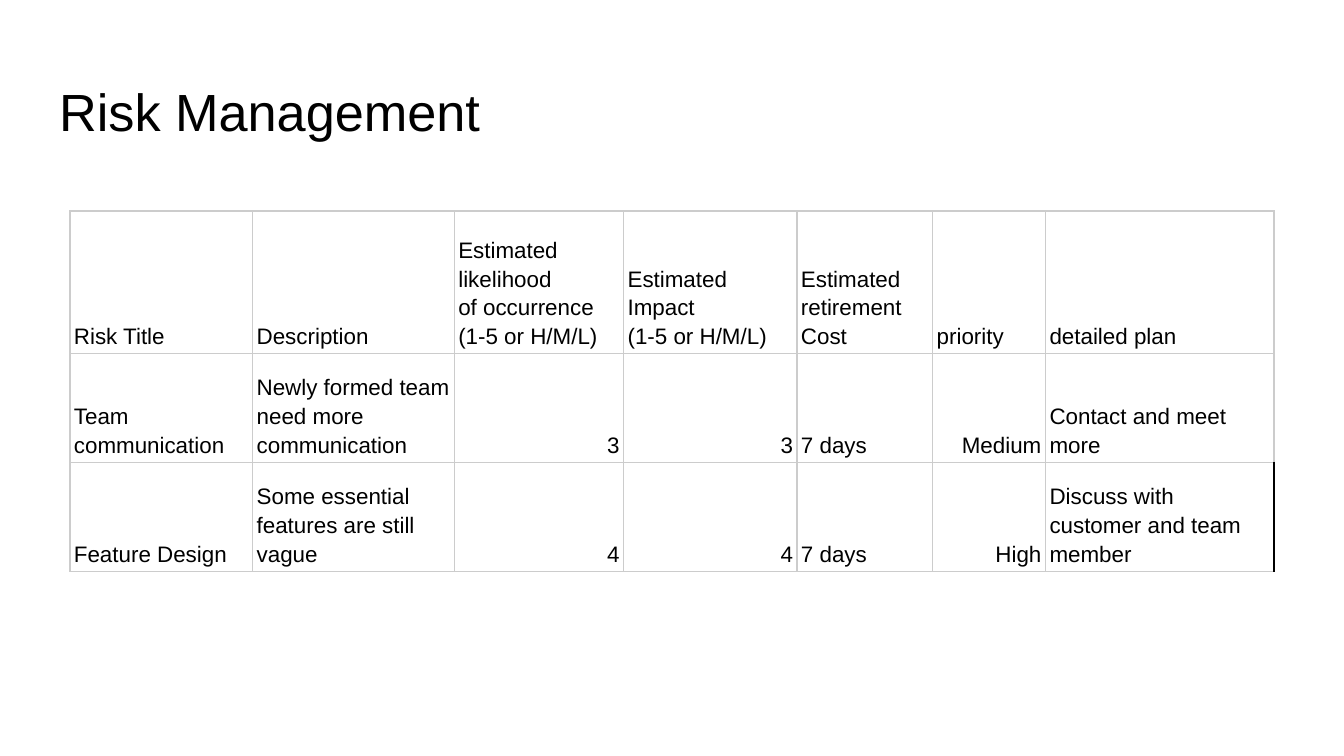
from typing import NamedTuple

from lxml import etree
from pptx import Presentation
from pptx.dml.color import RGBColor
from pptx.enum import text
from pptx.oxml import ns
from pptx.util import Inches, Pt

FONT = "Arial"
BLACK = "000000"
GRID = "CCCCCC"
SLIDE_WIDTH = 10
COL_WIDTHS = [1.36, 1.5, 1.26, 1.29, 1.01, 0.84, 1.7]
ROW_HEIGHTS = [1.06, 0.81, 0.81]
RIGHT_ALIGNED = {2, 3, 5}  # likelihood, impact and priority values


class Risk(NamedTuple):
    title: str
    description: str
    likelihood: str
    impact: str
    cost: str
    priority: str
    plan: str


HEADER = Risk("Risk Title", "Description",
              "Estimated\nlikelihood\nof occurrence\n(1-5 or H/M/L)",
              "Estimated\nImpact\n(1-5 or H/M/L)",
              "Estimated\nretirement\nCost", "priority", "detailed plan")
RISKS = [
    Risk("Team communication", "Newly formed team need more communication",
         "3", "3", "7 days", "Medium", "Contact and meet more"),
    Risk("Feature Design", "Some essential features are still vague",
         "4", "4", "7 days", "High", "Discuss with customer and team member"),
]


def rgb(value: str) -> RGBColor:
    return RGBColor.from_string(value)


def style(p, size: float, align=text.PP_ALIGN.LEFT) -> None:
    p.alignment = align
    p.font.name = FONT
    p.font.size = Pt(size)
    p.font.color.rgb = rgb(BLACK)


def set_borders(cell, right: str = GRID) -> None:
    tc_pr = cell._tc.get_or_add_tcPr()
    for side, color in (("L", GRID), ("R", right), ("T", GRID), ("B", GRID)):
        ln = etree.SubElement(tc_pr, ns.qn(f"a:ln{side}"), w=str(Pt(0.75)))
        fill = etree.SubElement(ln, ns.qn("a:solidFill"))
        etree.SubElement(fill, ns.qn("a:srgbClr"), val=color)


def fill_cell(cell, content: str, align, right_border: str) -> None:
    set_borders(cell, right_border)
    cell.fill.background()
    cell.vertical_anchor = text.MSO_ANCHOR.BOTTOM
    cell.margin_left = cell.margin_right = Inches(0.03)
    cell.margin_top = cell.margin_bottom = Inches(0.03)
    cell.text = content
    for p in cell.text_frame.paragraphs:
        style(p, 12, align)
        p.line_spacing = 1.15


def add_title(s, content: str) -> None:
    sp = s.shapes.title
    sp.left, sp.top = Inches(0.34), Inches(0.49)
    sp.width, sp.height = Inches(9.32), Inches(0.63)
    tf = sp.text_frame
    tf.text = content
    tf.auto_size = text.MSO_AUTO_SIZE.NONE
    tf.vertical_anchor = text.MSO_ANCHOR.TOP
    tf.margin_left = tf.margin_right = Inches(0.1)
    tf.margin_top = tf.margin_bottom = Inches(0.1)
    style(tf.paragraphs[0], 28)


def add_risk_table(s, rows: list[Risk]) -> None:
    table = s.shapes.add_table(
        len(rows), len(COL_WIDTHS), Inches(0.52), Inches(1.57),
        Inches(sum(COL_WIDTHS)), Inches(sum(ROW_HEIGHTS))).table
    table.first_row = table.horz_banding = False
    for column, width in zip(table.columns, COL_WIDTHS):
        column.width = Inches(width)
    for row, height in zip(table.rows, ROW_HEIGHTS):
        row.height = Inches(height)

    last = (len(rows) - 1, len(COL_WIDTHS) - 1)
    for i, risk in enumerate(rows):
        for j, content in enumerate(risk):
            is_value = i > 0 and j in RIGHT_ALIGNED
            align = text.PP_ALIGN.RIGHT if is_value else text.PP_ALIGN.LEFT
            # The last cell closes the table with a black edge
            border = BLACK if (i, j) == last else GRID
            fill_cell(table.cell(i, j), content, align, border)


def main() -> None:
    prs = Presentation()
    # Widescreen, 16:9
    prs.slide_width = Inches(SLIDE_WIDTH)
    prs.slide_height = Inches(SLIDE_WIDTH * 9 / 16)
    s = prs.slides.add_slide(prs.slide_layouts[5])  # title only
    add_title(s, "Risk Management")
    add_risk_table(s, [HEADER, *RISKS])
    prs.save("out.pptx")


if __name__ == "__main__":
    main()
